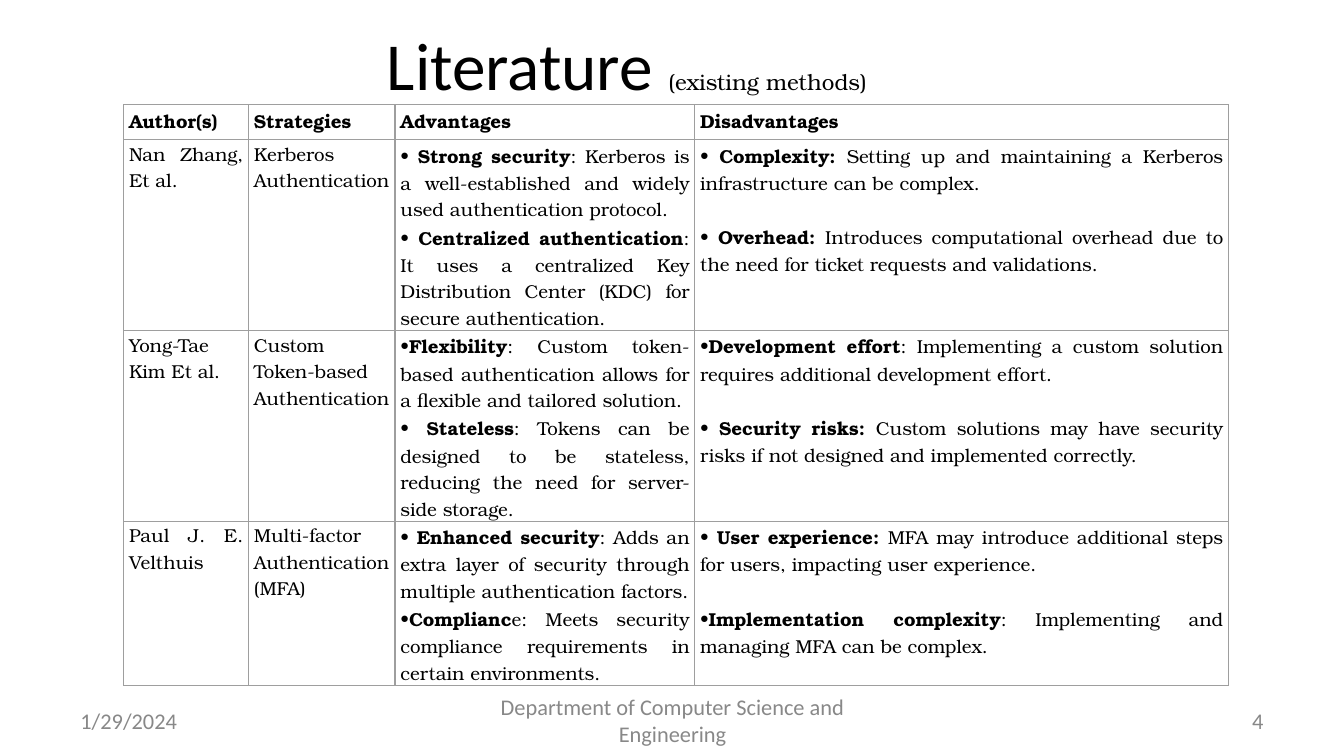
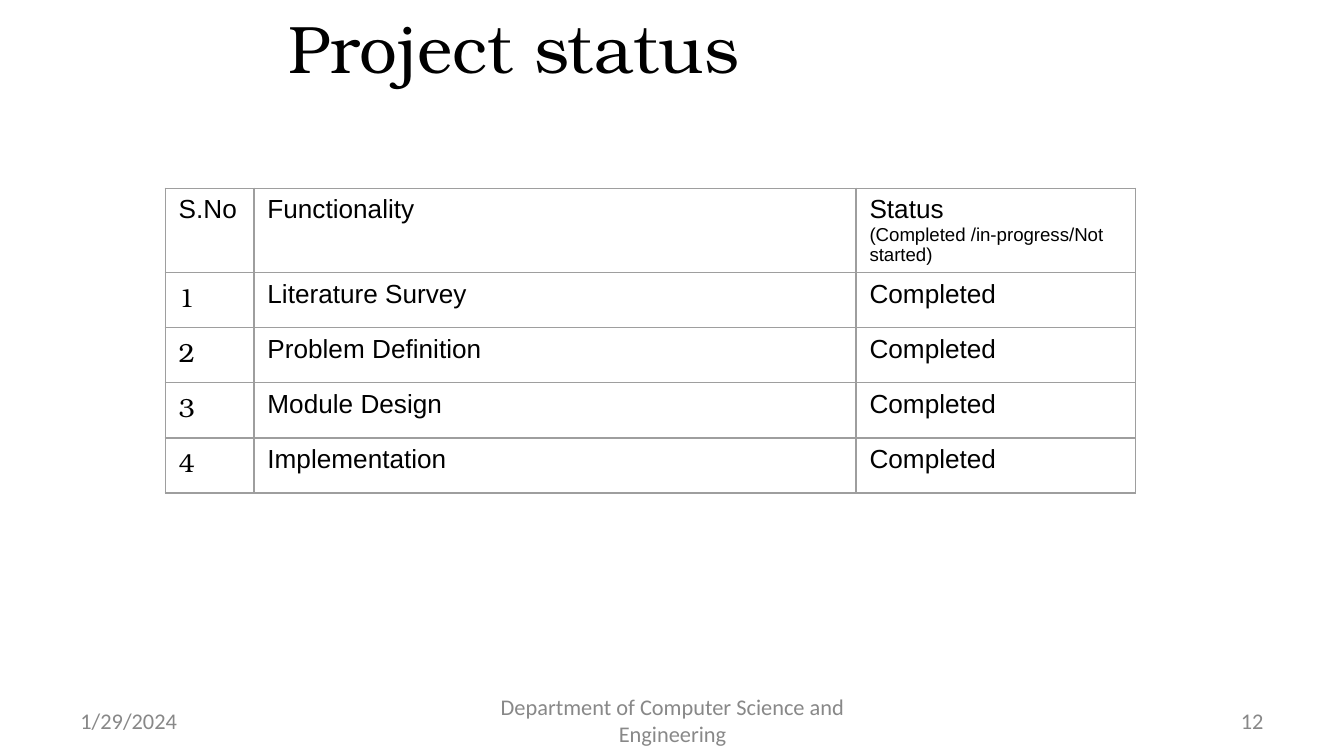
import pptx
import pptx.dml.color
import pptx.enum.text
import pptx.oxml
import pptx.oxml.ns
import pptx.util
from pptx.util import Inches

BLACK = "000000"
GREY = "888888"
BORDER = "9E9E9E"
SERIF = "TeX Gyre Bonum"
SANS = "Calibri"
TABLE_SANS = "Arial"
ALIGN = pptx.enum.text.PP_ALIGN
DATE = "1/29/2024"
DEPARTMENT = "Department of Computer Science and Engineering"

LITERATURE = [
    ("Nan Zhang, Et al.", "Kerberos Authentication",
     [("• ", "Strong security", ": Kerberos is a well-established and widely used authentication protocol."),
      ("• ", "Centralized authentication",
       ": It uses a centralized Key Distribution Center (KDC) for secure authentication.")],
     [("• ", "Complexity: ", "Setting up and maintaining a Kerberos infrastructure can be complex."),
      ("• ", "Overhead: ",
       "Introduces computational overhead due to the need for ticket requests and validations.")]),
    ("Yong-Tae Kim Et al.", "Custom Token-based Authentication",
     [("•", "Flexibility", ": Custom token-based authentication allows for a flexible and tailored solution."),
      ("• ", "Stateless",
       ": Tokens can be designed to be stateless, reducing the need for server-side storage.")],
     [("•", "Development effort", ": Implementing a custom solution requires additional development effort."),
      ("• ", "Security risks: ",
       "Custom solutions may have security risks if not designed and implemented correctly.")]),
    ("Paul J. E. Velthuis", "Multi-factor Authentication (MFA)",
     [("• ", "Enhanced security", ": Adds an extra layer of security through multiple authentication factors."),
      ("•", "Complianc", "e: Meets security compliance requirements in certain environments.")],
     [("• ", "User experience: ", "MFA may introduce additional steps for users, impacting user experience."),
      ("•", "Implementation complexity", ": Implementing and managing MFA can be complex.")]),
]
FUNCTIONALITIES = ["Literature Survey", "Problem Definition", "Module Design", "Implementation"]


def rgb(value):
    return pptx.dml.color.RGBColor.from_string(value)


def add_run(p, text, size, font, color=BLACK, bold=False):
    r = p.add_run()
    r.text = text
    r.font.size = pptx.util.Pt(size)
    r.font.name = font
    r.font.bold = bold
    r.font.color.rgb = rgb(color)


def add_title(s, left, top, width, height, runs, indent=0.1):
    sp = s.shapes.title
    sp.left, sp.top, sp.width, sp.height = map(Inches, (left, top, width, height))
    tf = sp.text_frame
    tf.auto_size = pptx.enum.text.MSO_AUTO_SIZE.NONE
    tf.vertical_anchor = pptx.enum.text.MSO_ANCHOR.MIDDLE
    tf.margin_left = Inches(indent)
    p = tf.paragraphs[0]
    p.alignment = ALIGN.CENTER
    for text, size, font in runs:
        add_run(p, text, size, font)


def add_footer(s, number):
    items = [
        (0.5, 2.33, DATE, ALIGN.LEFT),
        (3.42, 3.17, DEPARTMENT, ALIGN.CENTER),
        (7.17, 2.33, number, ALIGN.RIGHT),
    ]
    for left, width, text, align in items:
        sp = s.shapes.add_textbox(Inches(left), Inches(5.21), Inches(width), Inches(0.3))
        tf = sp.text_frame
        tf.word_wrap = True
        tf.vertical_anchor = pptx.enum.text.MSO_ANCHOR.MIDDLE
        p = tf.paragraphs[0]
        p.alignment = align
        add_run(p, text, 12, SANS, GREY)


def set_borders(cell):
    tcPr = cell._tc.get_or_add_tcPr()
    for side in ("lnL", "lnR", "lnT", "lnB"):
        tcPr.append(pptx.oxml.parse_xml(
            f'<a:{side} {pptx.oxml.ns.nsdecls("a")} w="9525"><a:solidFill>'
            f'<a:srgbClr val="{BORDER}"/></a:solidFill></a:{side}>'))


def add_table(s, left, top, widths, heights):
    table = s.shapes.add_table(
        len(heights), len(widths), Inches(left), Inches(top),
        Inches(sum(widths)), Inches(sum(heights))).table
    table.first_row = False
    table.horz_banding = False
    for column, width in zip(table.columns, widths):
        column.width = Inches(width)
    for row, height in zip(table.rows, heights):
        row.height = Inches(height)
    for cell in table.iter_cells():
        set_borders(cell)
        cell.fill.background()
    return table


def fill_cell(cell, paragraphs, gap=0, justified=False):
    tf = cell.text_frame
    if justified:
        cell.margin_left = cell.margin_right = Inches(0.04)
        cell.margin_top = cell.margin_bottom = 0
    for i, runs in enumerate(paragraphs):
        p = tf.add_paragraph() if i else tf.paragraphs[0]
        if justified:
            p.alignment = ALIGN.JUSTIFY
            p.line_spacing = 1.07
        if i and gap:
            p.space_before = pptx.util.Pt(gap)
        for text, size, font, bold in runs:
            add_run(p, text, size, font, bold=bold)


def plain(text, bold=False):
    return [[(text, 10, SERIF, bold)]]


def points(items):
    return [[(mark, 10, SERIF, False), (lead, 10, SERIF, True), (rest, 10, SERIF, False)]
            for mark, lead, rest in items]


def literature_slide(prs):
    s = prs.slides.add_slide(prs.slide_layouts[5])
    add_title(s, 0.76, 0.17, 6.69, 0.61,
              [("Literature ", 36, SANS), ("(existing methods)", 12, SERIF)], indent=1.22)
    table = add_table(s, 0.92, 0.78, [0.93, 1.09, 2.23, 3.97], [0.26, 1.15, 1.1, 1.03])
    for col, heading in enumerate(["Author(s)", "Strategies", "Advantages", "Disadvantages"]):
        fill_cell(table.cell(0, col), plain(heading, True), justified=True)
    for row, (author, strategy, advantages, disadvantages) in enumerate(LITERATURE, 1):
        fill_cell(table.cell(row, 0), plain(author), justified=True)
        fill_cell(table.cell(row, 1), plain(strategy), justified=True)
        fill_cell(table.cell(row, 2), points(advantages), justified=True)
        fill_cell(table.cell(row, 3), points(disadvantages), gap=14, justified=True)
    add_footer(s, "4")


def status_slide(prs):
    s = prs.slides.add_slide(prs.slide_layouts[5])
    add_title(s, 0.48, 0, 6.69, 0.69, [("Project status", 36, SERIF)])
    table = add_table(s, 1.23, 1.4, [0.66, 4.48, 2.08], [0.41] * 5)
    rows = [("S.No", "Functionality", "Status")]
    rows += [(str(i), name, "Completed") for i, name in enumerate(FUNCTIONALITIES, 1)]
    for row, texts in enumerate(rows):
        for col, text in enumerate(texts):
            font = SERIF if row and col == 0 else TABLE_SANS
            paragraphs = [[(text, 14, font, False)]]
            if text == "Status":
                paragraphs.append([("(Completed /in-progress/Not started)", 10, TABLE_SANS, False)])
            fill_cell(table.cell(row, col), paragraphs)
    add_footer(s, "12")


def main():
    prs = pptx.Presentation()
    prs.slide_width = Inches(10)
    prs.slide_height = prs.slide_width * 9 // 16
    literature_slide(prs)
    status_slide(prs)
    prs.save("out.pptx")


if __name__ == "__main__":
    main()
